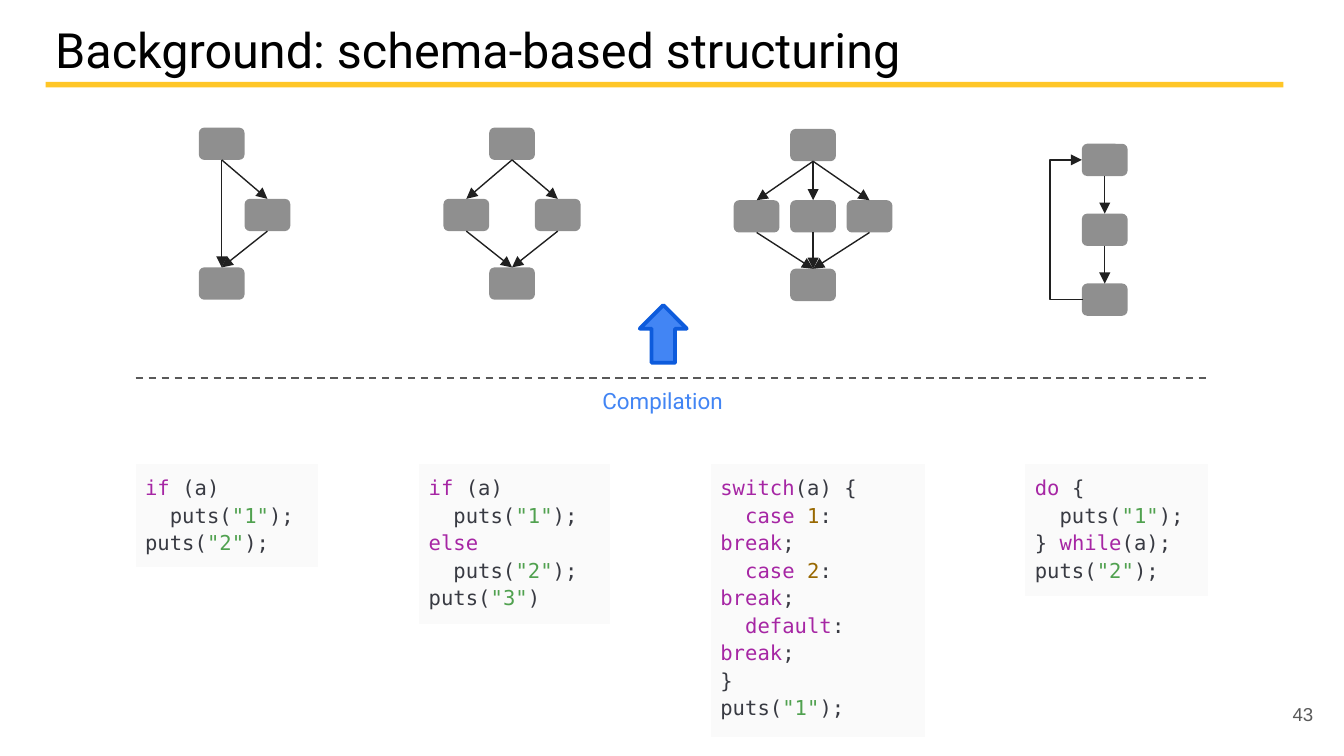
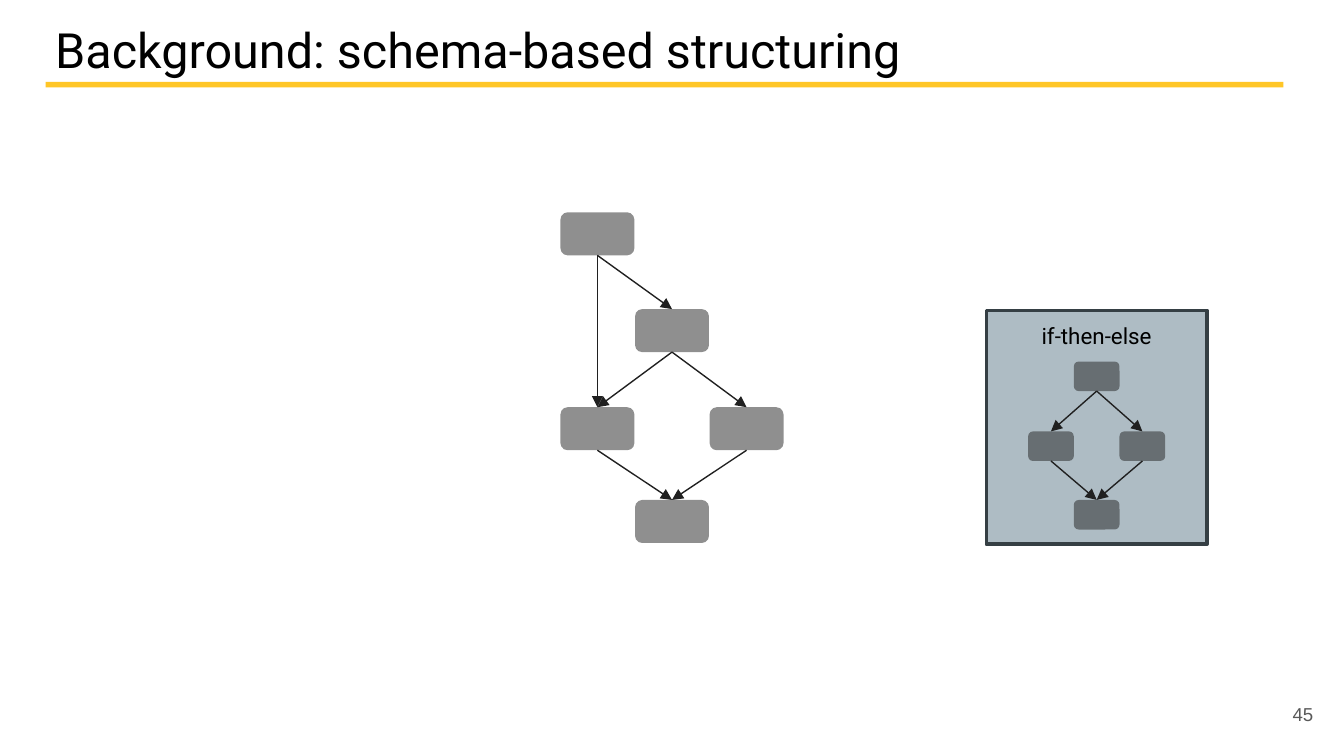
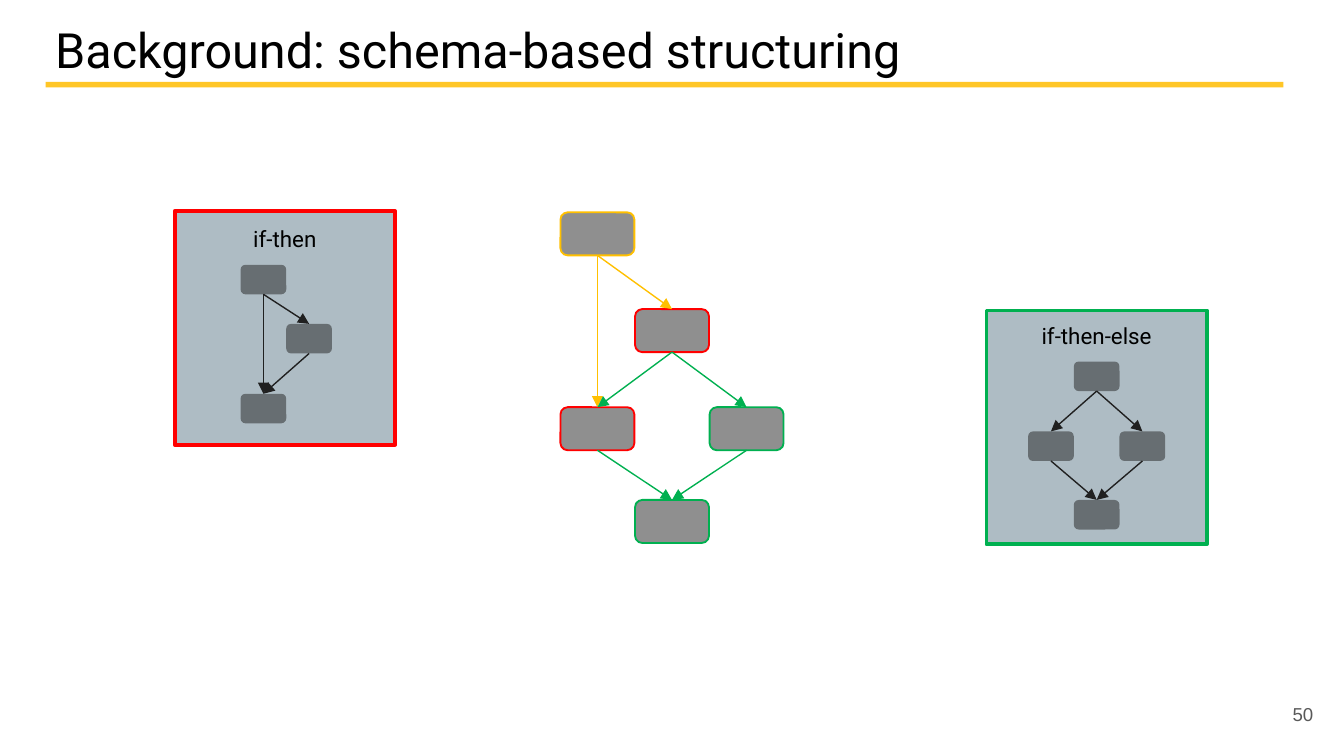
from lxml.etree import SubElement
from pptx import Presentation
from pptx.dml.color import RGBColor
from pptx.enum.dml import MSO_LINE as DASH
from pptx.enum.shapes import MSO_CONNECTOR as CONN, MSO_SHAPE as SHAPE
from pptx.enum.text import MSO_ANCHOR as ANCHOR, PP_ALIGN as ALIGN
from pptx.oxml.ns import qn
from pptx.util import Inches, Pt

BLACK, GRAY, YELLOW, BLUE, BLUE_LINE = "000000", "595959", "FFC627", "4285F4", "0D5BDC"
NODE, EDGE, PANEL, PANEL_LINE = "212121", "202020", "AEBCC4", "353F44"
RED, GREEN, AMBER = "FF0000", "00B050", "FFC000"
CODE_BG, CODE, KEYWORD, STRING, NUMBER = "FAFAFA", "383A42", "A626A4", "50A14F", "986801"
KEYWORDS = {"if", "else", "switch", "case", "break", "default", "do", "while"}
CODE_FONT, CODE_SIZE = "DejaVu Sans Mono", 11

TITLE = "Background: schema-based structuring"
SMALL, PANEL_NODE, LARGE = (0.34, 0.24), (0.34, 0.22), (0.55, 0.32)

IF_THEN = ([(0, 0), (1, 1), (0, 2)], [(0, 1), (0, 2), (1, 2)])
IF_ELSE = ([(0, 0), (-1, 1), (1, 1), (0, 2)], [(0, 1), (0, 2), (1, 3), (2, 3)])
SWITCH = ([(0, 0), (-1, 1), (0, 1), (1, 1), (0, 2)],
          [(0, 1), (0, 2), (0, 3), (1, 4), (2, 4), (3, 4)])
LOOP = ([(0, 0), (0, 1), (0, 2)], [(0, 1), (1, 2)])
NESTED = ([(0, 0), (1, 1), (0, 2), (2, 2), (1, 3)],
          [(0, 1), (0, 2), (1, 2), (1, 3), (2, 4), (3, 4)])

SNIPPETS = [
    (1.01, 1.36, 0.76, 'if| (a)\n  puts(|"1"|);\nputs(|"2"|);'),
    (3.12, 1.42, 1.18, 'if| (a)\n  puts(|"1"|);\n|else|\n  puts(|"2"|);\nputs(|"3"|)'),
    (7.63, 1.36, 0.97, 'do| {\n  puts(|"1"|);\n} |while|(a);\nputs(|"2"|);'),
    (5.29, 1.59, 1.39, 'switch|(a) {\n  |case| |1|: |break|;\n  |case| |2|: |break|;\n'
                       '  |default|: |break|;\n}\nputs(|"1"|);'),
]


def rgb(color):
    return RGBColor.from_string(color)


def inches(*values):
    return [Inches(v) for v in values]


def set_font(font, size, name, color=None):
    font.size, font.name = Pt(size), name
    if color:
        font.color.rgb = rgb(color)


def add_text(sl, box, text, size, color, name="Roboto", align=ALIGN.LEFT,
             anchor=ANCHOR.TOP, insets=(0.1, 0.05)):
    tf = sl.shapes.add_textbox(*inches(*box)).text_frame
    tf.word_wrap = True
    tf.vertical_anchor = anchor
    tf.margin_left = tf.margin_right = Inches(insets[0])
    tf.margin_top = tf.margin_bottom = Inches(insets[1])
    p = tf.paragraphs[0]
    p.text, p.alignment = text, align
    set_font(p.font, size, name, color)


def add_shape(sl, kind, box, fill, line=None, width=1, alpha=None):
    sp = sl.shapes.add_shape(kind, *inches(*box))
    sp.shadow.inherit = False
    sp.fill.solid()
    sp.fill.fore_color.rgb = rgb(fill)
    if alpha:
        clr = sp._element.spPr.find(qn("a:solidFill")).find(qn("a:srgbClr"))
        SubElement(clr, qn("a:alpha"), val=str(alpha * 1000))
    if line:
        sp.line.color.rgb = rgb(line)
        sp.line.width = Pt(width)
    else:
        sp.line.fill.background()
    return sp


def add_line(sl, ends, color=EDGE, width=0.75, kind=CONN.STRAIGHT, arrow=True):
    cx = sl.shapes.add_connector(kind, *inches(*ends))
    cx.line.color.rgb = rgb(color)
    cx.line.width = Pt(width)
    spPr = cx._element.spPr
    if arrow:
        SubElement(spPr.find(qn("a:ln")), qn("a:tailEnd"), type="triangle")
    SubElement(spPr, qn("a:effectLst"))
    return cx


def add_graph(sl, graph, x, tops, size, dx, outlines=None, colors=None):
    places, edges = graph
    outlines = outlines or [None] * len(places)
    colors = colors or [EDGE] * len(edges)
    nodes = [add_shape(sl, SHAPE.ROUNDED_RECTANGLE, (x + col * dx, tops[row], *size),
                       NODE, outline, alpha=50)
             for (col, row), outline in zip(places, outlines)]
    for (a, b), color in zip(edges, colors):
        cx = add_line(sl, (0, 0, 0, 0), color)
        cx.begin_connect(nodes[a], 2)
        cx.end_connect(nodes[b], 0)


def add_back_edge(sl, start, end, reach):
    cx = add_line(sl, (*start, *end), kind=CONN.ELBOW)
    geom = cx._element.spPr.find(qn("a:prstGeom"))
    guides = geom.find(qn("a:avLst"))
    if guides is None:
        guides = SubElement(geom, qn("a:avLst"))
    ratio = round(reach / (start[0] - end[0]) * 100000)
    SubElement(guides, qn("a:gd"), name="adj1", fmla=f"val {ratio}")


def token_color(token):
    if token in KEYWORDS:
        return KEYWORD
    if token.startswith('"'):
        return STRING
    return NUMBER if token.isdigit() else CODE


def add_break(p):
    p.add_line_break()
    br = p._p.findall(qn("a:br"))[-1]
    rPr = SubElement(br, qn("a:rPr"), sz=str(CODE_SIZE * 100))
    SubElement(rPr, qn("a:latin"), typeface=CODE_FONT)


def hide_borders(cell):
    tcPr = cell._tc.get_or_add_tcPr()
    for side in ("lnL", "lnR", "lnT", "lnB"):
        ln = SubElement(tcPr, qn("a:" + side), w=str(Pt(0.75)))
        clr = SubElement(SubElement(ln, qn("a:solidFill")), qn("a:srgbClr"), val=BLACK)
        SubElement(clr, qn("a:alpha"), val="0")


def add_code(sl, x, width, height, code):
    frame = sl.shapes.add_table(1, 1, *inches(x, 3.45, width, height))
    table = frame.table
    table.first_row = table.horz_banding = False
    table.rows[0].height = 0
    frame.height = Inches(height)
    cell = table.cell(0, 0)
    cell.margin_left = cell.margin_right = Inches(0.07)
    cell.margin_top = cell.margin_bottom = Inches(0.07)
    hide_borders(cell)
    cell.fill.solid()
    cell.fill.fore_color.rgb = rgb(CODE_BG)
    p = cell.text_frame.paragraphs[0]
    p.line_spacing = 1.15
    set_font(p.font, CODE_SIZE, CODE_FONT)
    for token in code.split("|"):
        for i, text in enumerate(token.split("\n")):
            if i:
                add_break(p)
            if text:
                r = p.add_run()
                r.text = text
                set_font(r.font, CODE_SIZE, CODE_FONT, token_color(token))


def add_panel(sl, x, y, label, label_y, line):
    add_shape(sl, SHAPE.RECTANGLE, (x, y, 1.64, 1.74), PANEL, line, 2)
    add_text(sl, (x, label_y, 1.64, 0.3), label, 12, BLACK, align=ALIGN.CENTER)


def add_if_else_panel(sl, line):
    add_panel(sl, 7.34, 2.31, "if-then-else", 2.35, line)
    add_graph(sl, IF_ELSE, 7.99, (2.69, 3.21, 3.72), PANEL_NODE, 0.34)


def add_if_then_panel(sl, line):
    add_panel(sl, 1.3, 1.57, "if-then", 1.63, line)
    add_graph(sl, IF_THEN, 1.79, (1.97, 2.41, 2.93), PANEL_NODE, 0.34)


def add_nested_graph(sl, outlines=None, colors=None):
    add_graph(sl, NESTED, 4.17, (1.58, 2.3, 3.03, 3.72), LARGE, 1.11 / 2, outlines, colors)


def add_slide(prs, number):
    sl = prs.slides.add_slide(prs.slide_layouts[6])
    add_text(sl, (0.34, 0.11, 9.21, 0.44), TITLE, 26, BLACK, insets=(0.07, 0.04))
    add_shape(sl, SHAPE.RECTANGLE, (0.34, 0.61, 9.21, 0.04), YELLOW)
    add_text(sl, (9.27, 5.1, 0.6, 0.43), str(number), 10, GRAY, "Arial",
             ALIGN.RIGHT, ANCHOR.MIDDLE, (0.1, 0.1))
    return sl


def add_compilation_slide(prs):
    sl = add_slide(prs, 43)
    tops = (0.95, 1.48, 1.99)
    add_graph(sl, IF_THEN, 1.48, tops, SMALL, 0.34)
    add_graph(sl, SWITCH, 5.88, (0.96, 1.49, 2), SMALL, 0.42)
    add_graph(sl, IF_ELSE, 3.64, tops, SMALL, 0.34)
    add_graph(sl, LOOP, 8.05, (1.07, 1.59, 2.11), SMALL, 0)
    add_back_edge(sl, (8.06, 2.23), (8.05, 1.19), 0.25)
    for snippet in SNIPPETS:
        add_code(sl, *snippet)
    divider = add_line(sl, (1.01, 2.81, 8.99, 2.81), GRAY, 1, arrow=False)
    divider.line.dash_style = DASH.DASH
    add_text(sl, (4.24, 2.83, 1.38, 0.3), "Compilation", 12, BLUE, align=ALIGN.CENTER)
    arrow = add_shape(sl, SHAPE.DOWN_ARROW, (4.76, 2.27, 0.35, 0.43), BLUE, BLUE_LINE, 2)
    arrow.rotation = 180


def main():
    prs = Presentation()
    prs.slide_width = Inches(10)
    prs.slide_height = prs.slide_width * 9 // 16
    add_compilation_slide(prs)

    sl = add_slide(prs, 45)
    add_nested_graph(sl)
    add_if_else_panel(sl, PANEL_LINE)

    sl = add_slide(prs, 50)
    add_nested_graph(sl, [AMBER, RED, RED, GREEN, GREEN], [AMBER] * 2 + [GREEN] * 4)
    add_if_else_panel(sl, GREEN)
    add_if_then_panel(sl, RED)
    prs.save("out.pptx")


if __name__ == "__main__":
    main()
